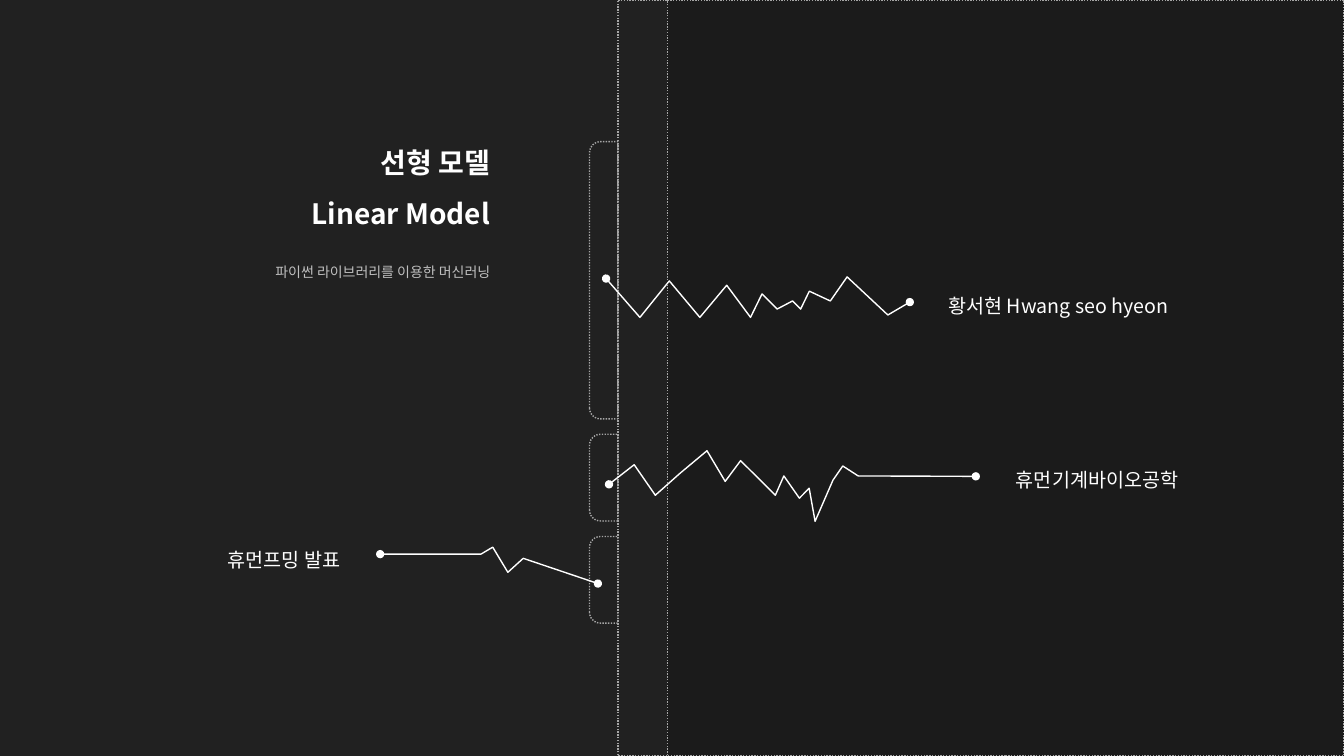
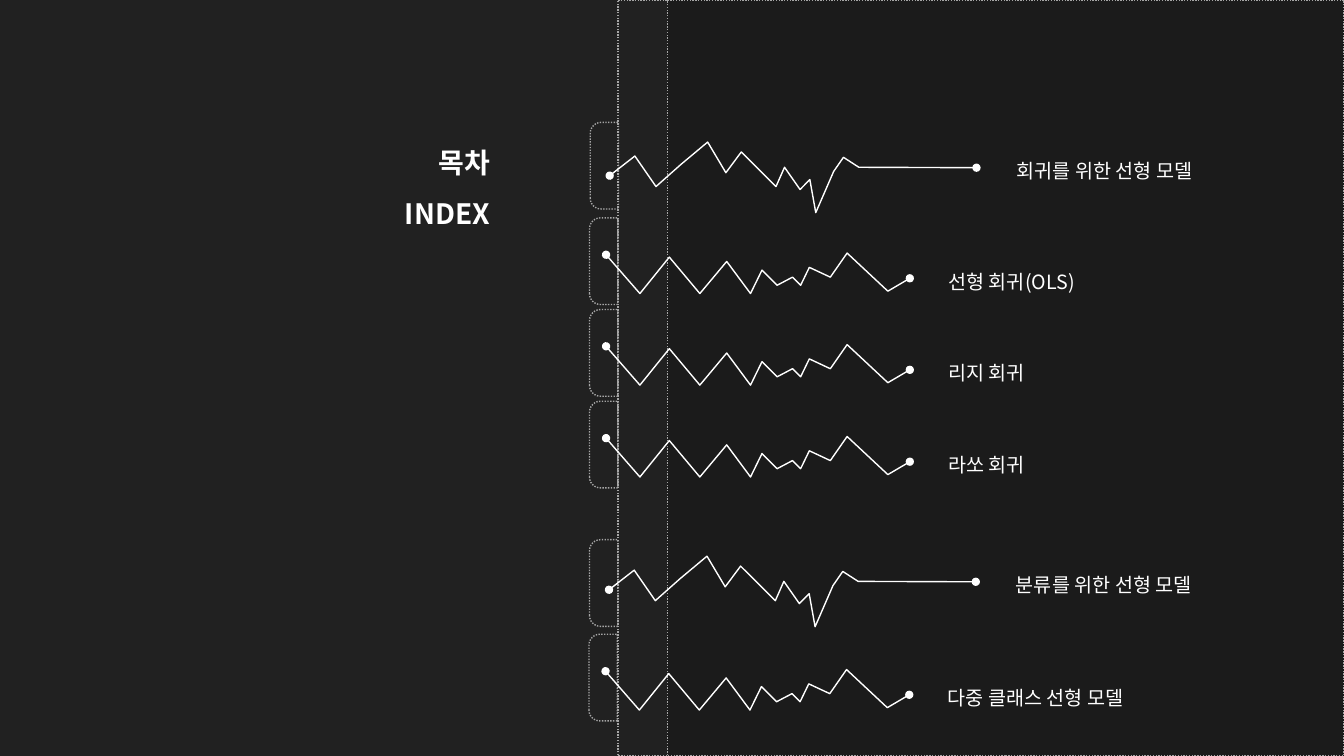
from dataclasses import dataclass
from typing import NamedTuple

from lxml import etree
from pptx import Presentation
from pptx.dml.color import RGBColor
from pptx.enum.dml import MSO_LINE
from pptx.enum.shapes import MSO_SHAPE
from pptx.enum.text import MSO_AUTO_SIZE, PP_ALIGN
from pptx.oxml.ns import qn
from pptx.util import Pt

RECT = MSO_SHAPE.RECTANGLE
TAB = MSO_SHAPE.ROUND_2_SAME_RECTANGLE
DOTTED = MSO_LINE.ROUND_DOT
FIT = MSO_AUTO_SIZE.SHAPE_TO_FIT_TEXT
LEFT, RIGHT = PP_ALIGN.LEFT, PP_ALIGN.RIGHT

BACK = RGBColor(0x21, 0x21, 0x21)
PANEL = RGBColor(0x1B, 0x1B, 0x1B)
EDGE = RGBColor(0xA6, 0xA6, 0xA6)
WHITE = RGBColor(0xFF, 0xFF, 0xFF)
MUTED = RGBColor(0xBF, 0xBF, 0xBF)
FONT = "Noto Sans CJK KR"

SLIDE_W, SLIDE_H = 960, 540
SPINE_X, PANEL_X = 441.3, 476.6
TAB_W, TAB_H = 20.2, 61.9
LABEL_H = 29.5


class Line(NamedTuple):
    text: str
    size: float
    color: RGBColor = WHITE
    bold: bool = False
    before: float = 0


class Wave(NamedTuple):
    left: float
    label_dx: float
    label_dy: float
    points: list[tuple[float, float]]


@dataclass
class Entry:
    text: str
    wave: Wave
    tab_top: float
    wave_top: float
    label_w: float
    tab_h: float = TAB_H
    dx: float = 0


ZIGZAG = Wave(432.9, 237.4, 0, [
    (0, 1.2), (24.2, 28.9), (45.2, 2.9), (67, 28.9), (86.2, 6), (103.2, 28.9),
    (111.4, 12.2), (122.2, 23), (133.2, 17.2), (139, 23), (145.2, 10.2),
    (160.2, 17.2), (172.2, 0), (201.3, 27.2), (217, 18)])
PULSE = Wave(435, 283.6, 0, [
    (0, 24), (18, 10), (33.1, 31.8), (51, 15.9), (70, 0), (83, 21.9),
    (94, 7.1), (105, 18), (118.8, 31.8), (124.9, 18), (136, 33.9),
    (143, 26.8), (147.2, 50.4), (160, 21), (167, 10.9), (178, 18), (262, 18.3)])
BLIP = Wave(271.6, -116, -11.5, [
    (0, 5), (72, 5), (80.4, 0), (91.2, 18), (102.2, 8), (155.5, 26)])

COVER_TITLE = [
    Line("선형 모델", 20, bold=True),
    Line("Linear Model", 20, bold=True),
    Line("파이썬 라이브러리를 이용한 머신러닝", 10, MUTED, before=18),
]
COVER = [
    Entry("황서현 Hwang seo hyeon", ZIGZAG, 101.2, 197.8, 177.8, tab_h=198),
    Entry("휴먼기계바이오공학", PULSE, 310.2, 322, 141.8),
    Entry("휴먼프밍 발표", BLIP, 383.2, 390.8, 104.4),
]
INDEX_TITLE = [Line("목차", 20, bold=True), Line("INDEX", 20, bold=True)]
INDEX = [
    Entry("회귀를 위한 선형 모델", PULSE, 87.4, 101.5, 156.2, dx=0.5),
    Entry("선형 회귀(OLS)", ZIGZAG, 155.6, 180.8, 110.2),
    Entry("리지 회귀", ZIGZAG, 221.1, 246.2, 76.3),
    Entry("라쏘 회귀", ZIGZAG, 286.6, 311.8, 76.3),
    Entry("분류를 위한 선형 모델", PULSE, 385.5, 397.3, 156.2),
    Entry("다중 클래스 선형 모델", ZIGZAG, 453, 478.3, 156.2, dx=-0.4),
]


def add_text(s, left: float, top: float, width: float, height: float,
             lines: list[Line], align: PP_ALIGN = LEFT, wrap: bool = False) -> None:
    tf = s.shapes.add_textbox(Pt(left), Pt(top), Pt(width), Pt(height)).text_frame
    tf.word_wrap = wrap
    tf.auto_size = FIT
    for i, line in enumerate(lines):
        p = tf.add_paragraph() if i else tf.paragraphs[0]
        p.alignment = align
        p.line_spacing = 1.5
        p.space_before = Pt(line.before)
        r = p.add_run()
        r.text = line.text
        r.font.size = Pt(line.size)
        r.font.bold = line.bold
        r.font.color.rgb = line.color
        r.font.name = FONT
        etree.SubElement(r.font._element, qn("a:ea")).set("typeface", FONT)


def add_dotted(s, kind: MSO_SHAPE, left: float, top: float, width: float,
               height: float, fill: RGBColor | None = None):
    sp = s.shapes.add_shape(kind, Pt(left), Pt(top), Pt(width), Pt(height))
    sp.shadow.inherit = False
    if fill is None:
        sp.fill.background()
    else:
        sp.fill.solid()
        sp.fill.fore_color.rgb = fill
    sp.line.color.rgb = EDGE
    sp.line.width = Pt(1)
    sp.line.dash_style = DOTTED
    return sp


def add_tab(s, left: float, top: float, height: float) -> None:
    shift = (height - TAB_W) / 2
    sp = add_dotted(s, TAB, left - shift, top + shift, height, TAB_W)
    sp.rotation = 270
    sp.adjustments[0] = 0.385
    sp.adjustments[1] = 0


def add_wave(s, left: float, top: float, points: list[tuple[float, float]]) -> None:
    (x, y), *rest = [(Pt(left + x), Pt(top + y)) for x, y in points]
    builder = s.shapes.build_freeform(x, y)
    builder.add_line_segments(rest, close=False)
    sp = builder.convert_to_shape()
    sp.shadow.inherit = False
    sp.fill.background()
    sp.line.color.rgb = WHITE
    sp.line.width = Pt(1)
    ln = sp.line._get_or_add_ln()
    for end in ("a:headEnd", "a:tailEnd"):
        etree.SubElement(ln, qn(end)).set("type", "oval")


def add_entry(s, entry: Entry) -> None:
    wave = entry.wave
    left = wave.left + entry.dx
    add_tab(s, SPINE_X - TAB_W + entry.dx, entry.tab_top, entry.tab_h)
    add_wave(s, left, entry.wave_top, wave.points)
    add_text(s, left + wave.label_dx, entry.wave_top + wave.label_dy,
             entry.label_w, LABEL_H, [Line(entry.text, 14)])


def add_page(prs, title: list[Line], title_h: float, entries: list[Entry]) -> None:
    s = prs.slides.add_slide(prs.slide_layouts[6])
    s.background.fill.solid()
    s.background.fill.fore_color.rgb = BACK
    add_text(s, 47.5, 88.6, 309.6, title_h, title, RIGHT, wrap=True)
    for left, fill in ((SPINE_X, BACK), (PANEL_X, PANEL)):
        add_dotted(s, RECT, left, 0, SLIDE_W - left, SLIDE_H, fill)
    for entry in entries:
        add_entry(s, entry)


def main() -> None:
    prs = Presentation()
    prs.slide_width, prs.slide_height = Pt(SLIDE_W), Pt(SLIDE_H)
    add_page(prs, COVER_TITLE, 113.8, COVER)
    add_page(prs, INDEX_TITLE, 75.6, INDEX)
    prs.save("out.pptx")


if __name__ == "__main__":
    main()
